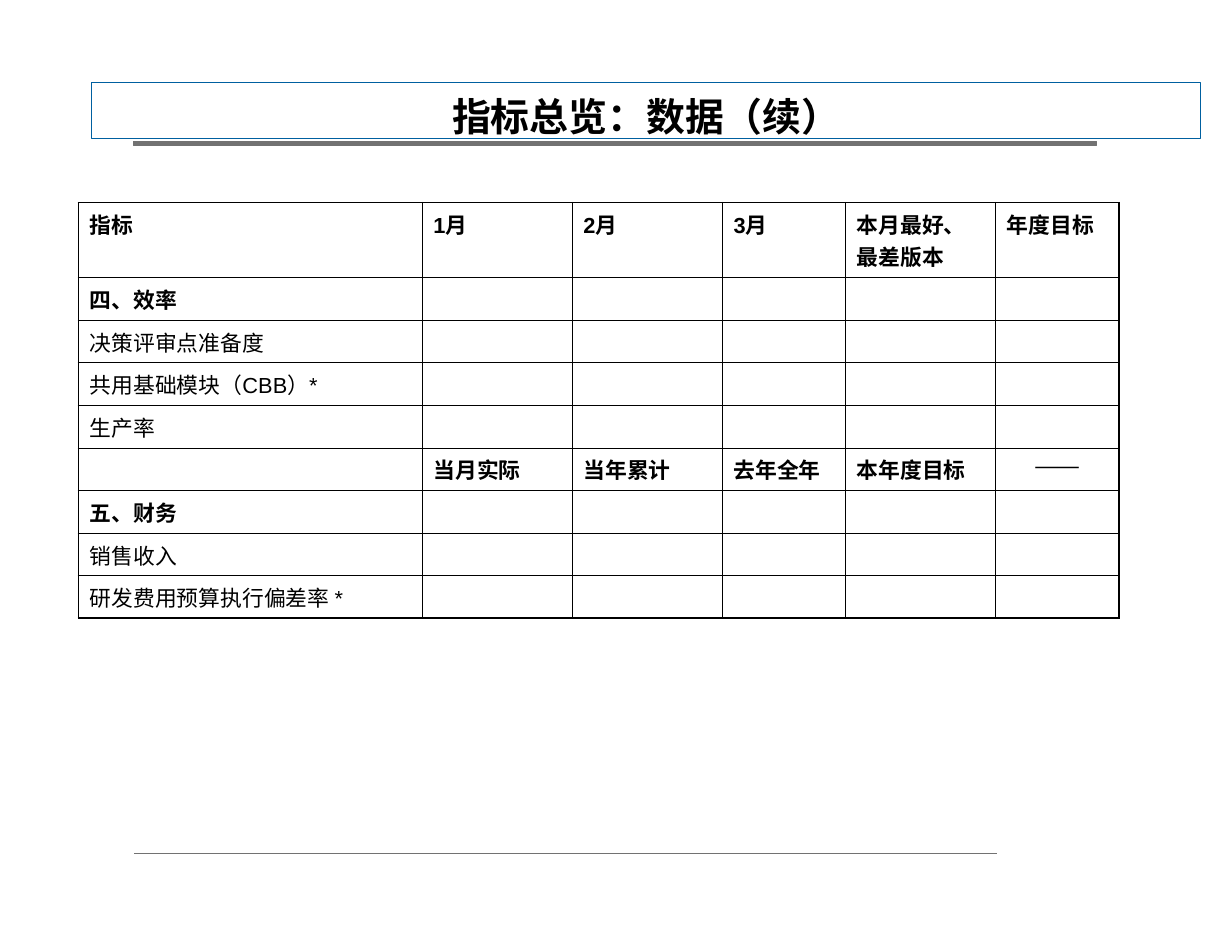
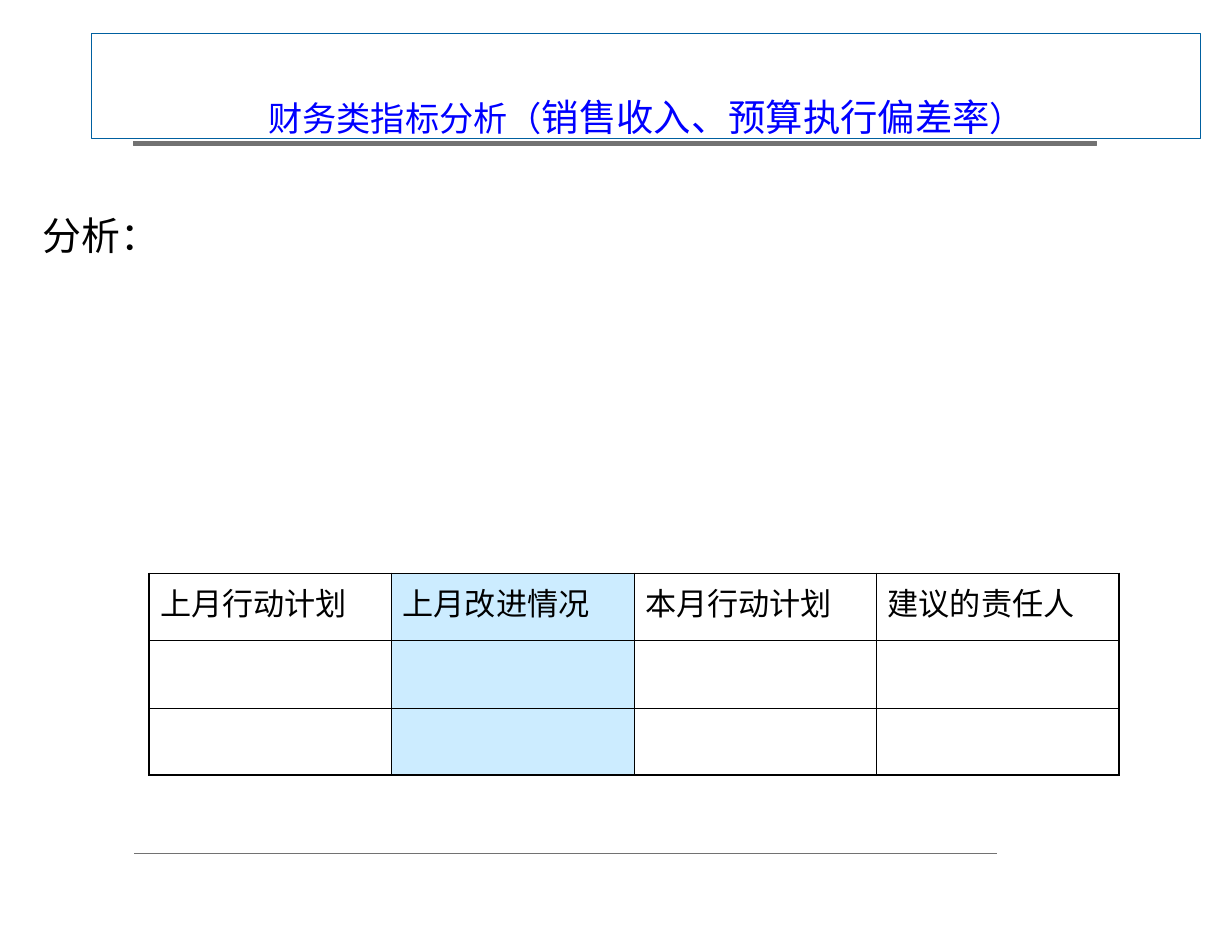
from dataclasses import dataclass

from lxml import etree
from pptx import Presentation
from pptx import util as u
from pptx.dml.color import RGBColor
from pptx.enum import shapes, text
from pptx.oxml.ns import qn

CJK_FONT, TABLE_FONT = "Noto Sans CJK SC", "Arial"
BLACK, BLUE, GREY = "000000", "0000FF", "727272"
FRAME_BLUE, PALE_BLUE = "0060A0", "CCECFF"
THIN, THICK = 0.45, 1.08  # table border widths in points
RULE_WIDTH = 0.71


@dataclass
class Piece:
    """A stretch of text in one size."""
    words: str
    size: float


@dataclass
class Title:
    top: float
    pieces: list[Piece]
    color: str
    bold: bool = False

    @property
    def height(self) -> float:
        return 1.24 - self.top  # every title frame ends just above the bar


@dataclass
class Grid:
    left: float
    top: float
    columns: list[float]
    rows: list[list[str]]
    row_heights: list[float]
    size: float
    space_before: float
    bold_rows: tuple[int, ...] = ()
    tinted_column: int | None = None


def rgb(color: str) -> RGBColor:
    return RGBColor.from_string(color)


def style_font(font, name: str, size: float, color: str, bold: bool = False) -> None:
    font.name, font.size, font.bold = name, u.Pt(size), bold
    font.color.rgb = rgb(color)


def plain_frame(shape):
    """Give the shape a wrapping text frame without margins."""
    frame = shape.text_frame
    frame.word_wrap = True
    frame.margin_left = frame.margin_right = frame.margin_top = frame.margin_bottom = 0
    return frame


def add_rules(slide) -> None:
    """Thick bar under the title and thin line above the footer."""
    bar = slide.shapes.add_shape(
        shapes.MSO_SHAPE.ROUNDED_RECTANGLE,
        u.Inches(1.19), u.Inches(1.26), u.Inches(8.6), u.Inches(0.04))
    bar.adjustments[0] = 0
    bar.shadow.inherit = False
    bar.fill.solid()
    bar.fill.fore_color.rgb = rgb(GREY)
    footer = slide.shapes.add_connector(
        shapes.MSO_CONNECTOR.STRAIGHT,
        u.Inches(1.2), u.Inches(7.62), u.Inches(8.9), u.Inches(7.62))
    etree.SubElement(footer._element.spPr, qn("a:effectLst"))
    for rule in (bar, footer):
        rule.line.color.rgb = rgb(GREY)
        rule.line.width = u.Pt(RULE_WIDTH)


def add_title(slide, title: Title) -> None:
    box = slide.shapes.add_textbox(
        u.Inches(0.82), u.Inches(title.top), u.Inches(9.9), u.Inches(title.height))
    box.line.color.rgb = rgb(FRAME_BLUE)
    box.line.width = u.Pt(RULE_WIDTH)
    frame = plain_frame(box)
    frame.vertical_anchor = text.MSO_ANCHOR.BOTTOM
    paragraph = frame.paragraphs[0]
    paragraph.alignment = text.PP_ALIGN.CENTER
    style_font(paragraph.font, CJK_FONT, title.pieces[0].size, title.color, title.bold)
    for piece in title.pieces:
        run = paragraph.add_run()
        run.text = piece.words
        if piece.size != title.pieces[0].size:
            run.font.size = u.Pt(piece.size)


def add_analysis(slide, words: str) -> None:
    box = slide.shapes.add_textbox(
        u.Inches(0.38), u.Inches(1.89), u.Inches(10.24), u.Inches(0.95))
    paragraph = plain_frame(box).paragraphs[0]
    paragraph.text = words
    style_font(paragraph.font, CJK_FONT, 25, BLACK)


def set_borders(cell, widths: dict[str, float]) -> None:
    """Draw black borders; they precede the fill in the cell properties."""
    properties = cell._tc.get_or_add_tcPr()
    for position, (side, width) in enumerate(widths.items()):
        line = etree.Element(qn(f"a:ln{side}"), w=str(u.Pt(width)))
        fill = etree.SubElement(line, qn("a:solidFill"))
        etree.SubElement(fill, qn("a:srgbClr"), val=BLACK)
        properties.insert(position, line)


def add_grid(slide, grid: Grid) -> None:
    row_count, column_count = len(grid.rows), len(grid.columns)
    table = slide.shapes.add_table(
        row_count, column_count, u.Inches(grid.left), u.Inches(grid.top),
        u.Inches(sum(grid.columns)), u.Inches(sum(grid.row_heights))).table
    table.first_row = table.horz_banding = False
    for column, width in zip(table.columns, grid.columns):
        column.width = u.Inches(width)
    for row, height in zip(table.rows, grid.row_heights):
        row.height = u.Inches(height)

    for r, words in enumerate(grid.rows):
        for c in range(column_count):
            cell = table.cell(r, c)
            if c == grid.tinted_column:
                cell.fill.solid()
                cell.fill.fore_color.rgb = rgb(PALE_BLUE)
            else:
                cell.fill.background()
            set_borders(cell, {
                "L": THICK if c == 0 else THIN,
                "R": THICK if c == column_count - 1 else THIN,
                "T": THICK if r == 0 else THIN,
                "B": THICK if r == row_count - 1 else THIN,
            })
            paragraph = cell.text_frame.paragraphs[0]
            label = words[c] if c < len(words) else ""
            if label:
                paragraph.text = label
                paragraph.space_before = u.Pt(grid.space_before)
            is_dash = label == "——"
            if is_dash:
                paragraph.alignment = text.PP_ALIGN.CENTER
            style_font(paragraph.font, TABLE_FONT, grid.size, BLACK,
                       r in grid.bold_rows and not is_dash)


OVERVIEW_TITLE = Title(0.74, [Piece("指标总览：数据（续）", 25)], BLACK, bold=True)
OVERVIEW_GRID = Grid(
    left=0.7, top=1.81,
    columns=[3.07, 1.34, 1.34, 1.1, 1.34, 1.1],
    rows=[
        ["指标", "1月", "2月", "3月", "本月最好、最差版本", "年度目标"],
        ["四、效率"],
        ["决策评审点准备度"],
        ["共用基础模块（CBB）*"],
        ["生产率"],
        ["", "当月实际", "当年累计", "去年全年", "本年度目标", "——"],
        ["五、财务"],
        ["销售收入"],
        ["研发费用预算执行偏差率 *"],
    ],
    row_heights=[0.67] + [0.38] * 8,
    size=14, space_before=3.5, bold_rows=(0, 1, 5, 6))

FINANCE_TITLE = Title(0.3, [
    Piece("财务类指标分析（", 22),
    Piece("销售收入、预算执行偏差率", 24),
    Piece("）", 22),
], BLUE)
ACTION_GRID = Grid(
    left=1.33, top=5.12,
    columns=[2.165] * 4,
    rows=[["上月行动计划", "上月改进情况", "本月行动计划", "建议的责任人"], [], []],
    row_heights=[0.6] * 3,
    size=20, space_before=5, tinted_column=1)


def main() -> None:
    presentation = Presentation()
    presentation.slide_width, presentation.slide_height = u.Inches(11), u.Inches(8.5)
    blank = presentation.slide_layouts[6]

    # Indicator overview
    overview = presentation.slides.add_slide(blank)
    add_rules(overview)
    add_title(overview, OVERVIEW_TITLE)
    add_grid(overview, OVERVIEW_GRID)

    # Finance analysis
    finance = presentation.slides.add_slide(blank)
    add_rules(finance)
    add_title(finance, FINANCE_TITLE)
    add_analysis(finance, "分析：")
    add_grid(finance, ACTION_GRID)

    presentation.save("out.pptx")


if __name__ == "__main__":
    main()
